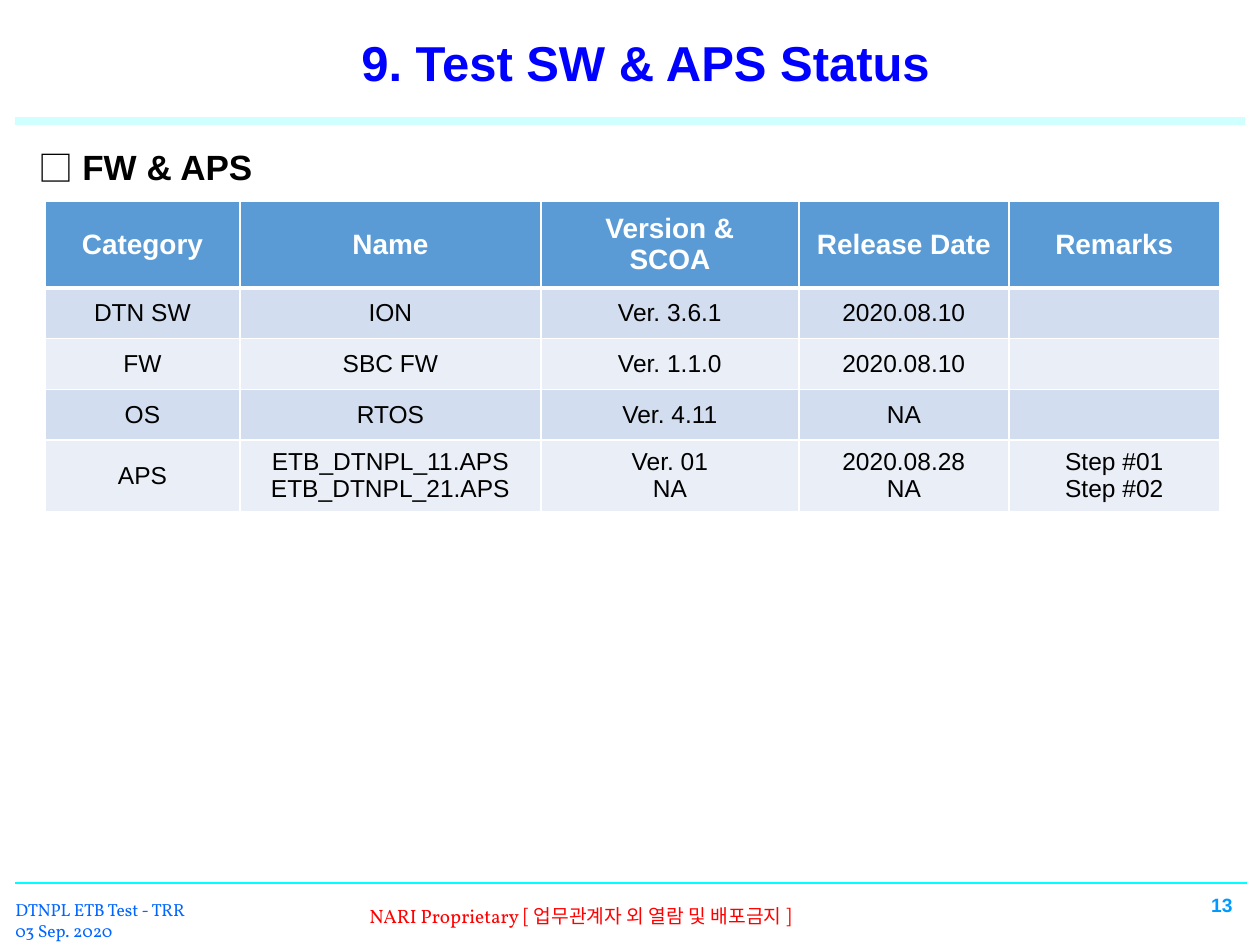
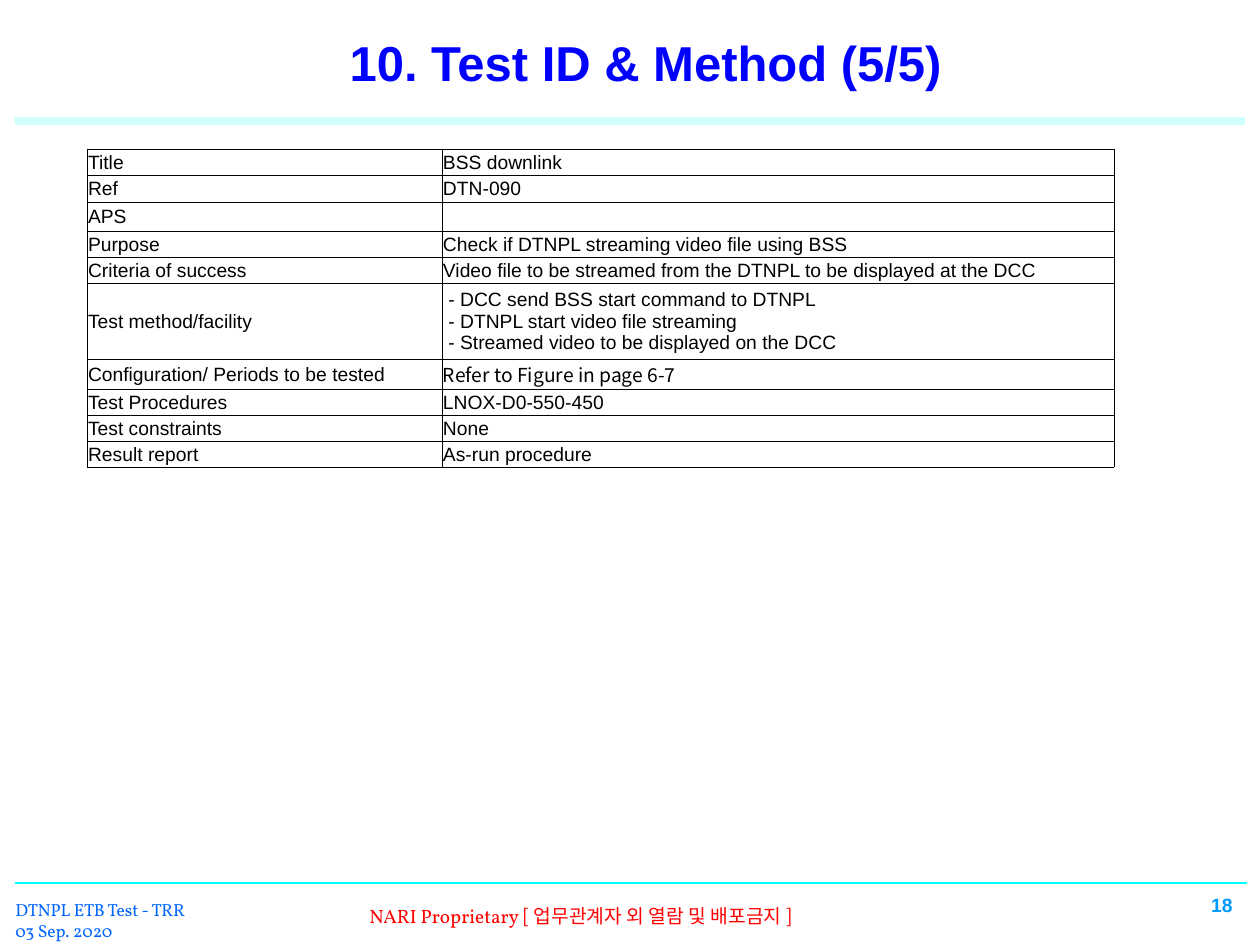
import pptx
import pptx.util
import pptx.dml.color
import pptx.enum.text
import pptx.enum.shapes
import pptx.oxml
import pptx.oxml.ns

SCALE = 914400 // 126  # EMU in one pixel
COLORS = {
    "title": "0000FF", "line": "00FFFF", "left": "0066FF", "mark": "FF0000",
    "page": "0099FF", "head": "5B9BD5", "odd": "D2DEEF", "even": "EAEFF7",
    "white": "FFFFFF", "black": "000000",
}
SANS, SERIF, CJK = "Arial", "Vollkorn", "Noto Sans CJK KR"
ALIGN = pptx.enum.text.PP_ALIGN
ANCHOR = pptx.enum.text.MSO_ANCHOR


def px(n):
    return pptx.util.Emu(round(n * SCALE))


def rgb(name):
    return pptx.dml.color.RGBColor.from_string(COLORS[name])


def add_xml(parent, tag, **attrs):
    node = pptx.oxml.parse_xml(f"<a:{tag} {pptx.oxml.ns.nsdecls('a')}/>")
    for key, value in attrs.items():
        node.set(key, str(value))
    parent.append(node)
    return node


def style(run, size, color, face=SANS, bold=False):
    font = run.font
    font.size, font.bold, font.name = pptx.util.Pt(size), bold, face
    font.color.rgb = rgb(color)
    if face == CJK:
        add_xml(run.font._element, "ea", typeface=face)


def format_text(frame, size, color, face=SANS, bold=False, align=ALIGN.LEFT, space=None):
    for para in frame.paragraphs:
        para.alignment = align
        para.line_spacing = space
        for run in para.runs:
            style(run, size, color, face, bold)


def add_text(slide, box, text, wrap=True):
    frame = slide.shapes.add_textbox(*map(px, box)).text_frame
    frame.word_wrap = wrap
    frame.text = text
    return frame


def add_rule(slide, left, right, y, width, alpha=None):
    kind = pptx.enum.shapes.MSO_CONNECTOR.STRAIGHT
    rule = slide.shapes.add_connector(kind, px(left), px(y), px(right), px(y))
    rule.line.color.rgb = rgb("line")
    rule.line.width = pptx.util.Pt(width)
    if alpha:
        fill = rule._element.spPr.find(".//" + pptx.oxml.ns.qn("a:srgbClr"))
        add_xml(fill, "alpha", val=alpha * 1000)
    add_xml(rule._element.spPr, "effectLst")


# Title and the band below it
def add_title(slide, box, text):
    title = slide.shapes.title
    title.left, title.top, title.width, title.height = map(px, box)
    frame = title.text_frame
    frame.text = text
    frame.vertical_anchor = ANCHOR.MIDDLE
    format_text(frame, 28, "title", bold=True, align=ALIGN.CENTER, space=0.9)
    add_rule(slide, 15, 1245, 121, 4.5, alpha=18)


# Footer: rule, document name, notice and page number
def add_footer(slide, box, page):
    left, top, width, height = box
    add_rule(slide, left + 15, left + 1247, top, 1.5)

    name = add_text(slide, (left + 3, top + 10, 209, 55),
                    "DTNPL ETB Test - TRR\n03 Sep. 2020", wrap=False)
    format_text(name, 10, "left", SERIF)

    notice = add_text(slide, (left + 292, top + 15, 784, 37), "")
    para = notice.paragraphs[0]
    para._p.get_or_add_pPr().set("marL", str(px(65)))
    for text, face in (("NARI Proprietary ", SERIF),
                       ("[ 업무관계자 외 열람 및 배포금지 ]", CJK)):
        run = para.add_run()
        run.text = text
        style(run, 11, "mark", face)

    number = add_text(slide, (left + 983, top + 2, 262, 44), str(page))
    number.vertical_anchor = ANCHOR.MIDDLE
    format_text(number, 11, "page", bold=True, align=ALIGN.RIGHT, space=0.8)


def add_heading(slide, box, text):
    frame = add_text(slide, box, text)
    frame.margin_top = px(10)
    format_text(frame, 20, "black", bold=True)
    props = frame.paragraphs[0]._p.get_or_add_pPr()
    props.set("marL", str(px(44)))
    props.set("indent", str(px(-44)))
    add_xml(props, "buFont", typeface=CJK)
    add_xml(props, "buChar", char="□")


# Tables
def add_grid(slide, left, top, cols, rows, data):
    shape = slide.shapes.add_table(len(rows), len(cols), px(left), px(top),
                                   px(sum(cols)), px(sum(rows)))
    table = shape.table
    table.first_row = table.horz_banding = False
    for column, width in zip(table.columns, cols):
        column.width = px(width)
    for row, height in zip(table.rows, rows):
        row.height = px(height)
    for r, texts in enumerate(data):
        for c, text in enumerate(texts):
            cell = table.cell(r, c)
            cell.text = text
            cell.vertical_anchor = ANCHOR.MIDDLE
            yield r, c, cell


def add_border(cell, color, **widths):
    props = cell._tc.get_or_add_tcPr()
    for side in "LRTB":
        line = add_xml(props, "ln" + side, w=pptx.util.Pt(widths[side]))
        add_xml(add_xml(line, "solidFill"), "srgbClr", val=COLORS[color])


def add_status(slide, box):
    left, top = box
    data = [
        ("Category", "Name", "Version &\nSCOA", "Release Date", "Remarks"),
        ("DTN SW", "ION", "Ver. 3.6.1", "2020.08.10", ""),
        ("FW", "SBC FW", "Ver. 1.1.0", "2020.08.10", ""),
        ("OS", "RTOS", "Ver. 4.11", "NA", ""),
        ("APS", "ETB_DTNPL_11.APS\nETB_DTNPL_21.APS", "Ver. 01\nNA",
         "2020.08.28\nNA", "Step #01\nStep #02"),
    ]
    cols, rows = (195, 301, 258, 210, 211), (87, 50, 51, 50, 68)
    for r, c, cell in add_grid(slide, left, top, cols, rows, data):
        head = r == 0
        add_border(cell, "white", L=1, R=1, T=3 if r == 1 else 1, B=3 if head else 1)
        cell.fill.solid()
        cell.fill.fore_color.rgb = rgb("head" if head else "odd" if r % 2 else "even")
        format_text(cell.text_frame, 16 if head else 14, "white" if head else "black",
                    bold=head, align=ALIGN.CENTER)


def add_method(slide, box):
    left, top = box
    steps = (" - DCC send BSS start command to DTNPL\n"
             " - DTNPL start video file streaming\n"
             " - Streamed video to be displayed on the DCC")
    data = [
        ("Title", "BSS downlink"),
        ("Ref", "DTN-090"),
        ("APS", ""),
        ("Purpose", "Check if DTNPL streaming video file using BSS"),
        ("Criteria of success",
         "Video file to be streamed from the DTNPL to be displayed at the DCC"),
        ("Test method/facility", steps),
        ("Configuration/ Periods to be tested", "Refer to Figure in page 6-7"),
        ("Test Procedures", "LNOX-D0-550-450"),
        ("Test constraints", "None"),
        ("Result report", "As-run procedure"),
    ]
    rows = (26, 27, 29, 26, 26, 76, 30, 26, 26, 26)
    for r, c, cell in add_grid(slide, left, top, (355, 672), rows, data):
        add_border(cell, "black", L=0.5, R=0.5, T=0.5, B=0.5)
        cell.fill.background()
        cell.margin_left = cell.margin_right = cell.margin_top = px(1)
        cell.margin_bottom = 0
        face = CJK if cell.text.startswith("Refer") else SANS
        format_text(cell.text_frame, 11, "black", face)
        if not cell.text:  # keeps the blank row low
            add_xml(cell.text_frame.paragraphs[0]._p, "endParaRPr", sz=1100)


def add_page(deck, title, page):
    slide = deck.slides.add_slide(deck.slide_layouts[5])
    add_title(slide, (194, 16, 903, 100), title)
    add_footer(slide, (0, 883, 1260, 62), page)
    return slide


deck = pptx.Presentation()
deck.slide_width, deck.slide_height = px(1260), px(945)

status = add_page(deck, "9. Test SW & APS Status", 13)
add_heading(status, (26, 135, 1211, 738), "FW & APS")
add_status(status, (45, 201))

method = add_page(deck, "10. Test ID & Method (5/5)", 18)
add_method(method, (87, 149))

deck.save("out.pptx")
